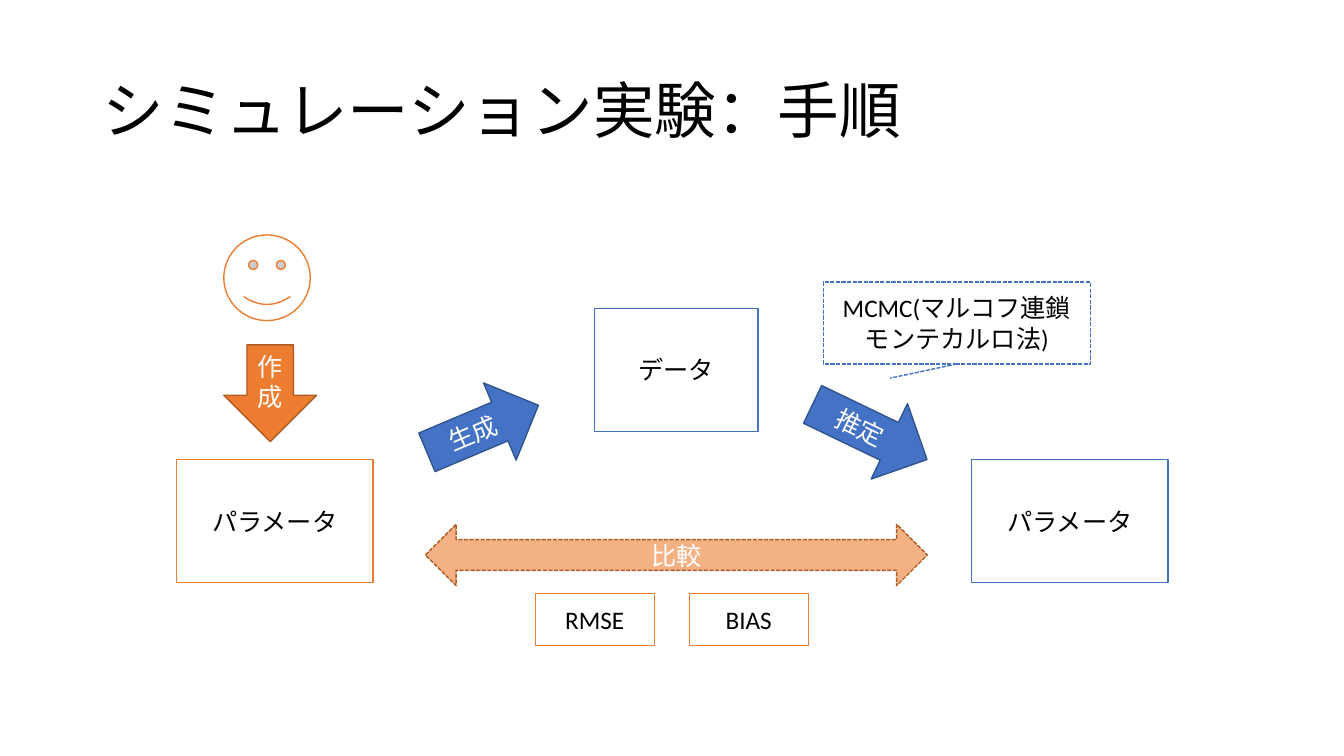
from dataclasses import dataclass

from lxml import etree
from pptx import Presentation
from pptx.dml.color import RGBColor
from pptx.enum.dml import MSO_LINE
from pptx.enum.shapes import MSO_CONNECTOR, MSO_SHAPE
from pptx.enum.text import MSO_ANCHOR, PP_ALIGN
from pptx.oxml.ns import qn
from pptx.util import Cm, Pt

RECTANGLE = MSO_SHAPE.RECTANGLE
RIGHT_ARROW = MSO_SHAPE.RIGHT_ARROW
DOWN_ARROW = MSO_SHAPE.DOWN_ARROW
DOUBLE_ARROW = MSO_SHAPE.LEFT_RIGHT_ARROW
SMILEY = MSO_SHAPE.SMILEY_FACE
STRAIGHT = MSO_CONNECTOR.STRAIGHT
DASHED = MSO_LINE.SQUARE_DOT
MIDDLE = MSO_ANCHOR.MIDDLE
LEFT, CENTER = PP_ALIGN.LEFT, PP_ALIGN.CENTER
BOTTOM_SITE = 2


@dataclass(frozen=True)
class Theme:
    font: str = "Calibri"
    title_size: int = 44
    body_size: int = 18
    line_width: int = 1
    black: str = "000000"
    white: str = "FFFFFF"
    blue: str = "4472C4"
    dark_blue: str = "325491"
    orange: str = "ED7D31"
    dark_orange: str = "AF5C24"
    pale_orange: str = "F4B183"


THEME = Theme()

# Positions and sizes in centimetres: left, top, width, height
TITLE = ("シミュレーション実験：手順", (2.34, 1.02, 29.21, 3.68))
BOX_HEIGHT = 3.1
PARAMETER_TOP, PARAMETER_WIDTH = 11.58, 4.95
BOXES = [
    ("パラメータ", (4.45, PARAMETER_TOP, PARAMETER_WIDTH, BOX_HEIGHT), THEME.orange),
    ("データ", (14.99, 7.77, 4.11, BOX_HEIGHT), THEME.blue),
    ("パラメータ", (24.49, PARAMETER_TOP, PARAMETER_WIDTH, BOX_HEIGHT), THEME.blue),
]
STEP_ARROWS = [
    ("生成", (10.64, 9.75, 3.05, 2.11), 337.1),
    ("推定", (20.32, 9.83, 3.2, 2.11), 25.7),
]
COMPARISON = ("比較", (10.72, 13.21, 12.65, 1.55))
PERSON = (5.64, 5.92, 2.18, 2.16)
CREATION = ("作成", (5.64, 8.69, 2.34, 2.44))
INDICATORS = ["RMSE", "BIAS"]
INDICATOR_FIRST = (13.49, 14.96, 3.0, 1.3)
INDICATOR_STEP = 3.88
METHOD = ("MCMC(マルコフ連鎖モンテカルロ法)", (20.75, 7.11, 6.73, 2.06))
METHOD_TARGET = (22.43, 9.53)


def write_text(shape, text, *, size=THEME.body_size, color=THEME.black,
               align=CENTER, spacing=None):
    frame = shape.text_frame
    frame.word_wrap = True
    frame.vertical_anchor = MIDDLE
    paragraph = frame.paragraphs[0]
    paragraph.alignment = align
    paragraph.line_spacing = spacing
    run = paragraph.add_run()
    run.text = text
    run.font.name = THEME.font
    run.font.size = Pt(size)
    run.font.color.rgb = RGBColor.from_string(color)


def style_line(line, color, dash=None):
    line.color.rgb = RGBColor.from_string(color)
    line.width = Pt(THEME.line_width)
    if dash is not None:
        line.dash_style = dash


def add_figure(slide, kind, place, line, *, fill=THEME.white, text=None,
               color=THEME.black, rotation=0, dash=None):
    shape = slide.shapes.add_shape(kind, *map(Cm, place))
    shape.shadow.inherit = False
    shape.rotation = rotation
    shape.fill.solid()
    shape.fill.fore_color.rgb = RGBColor.from_string(fill)
    style_line(shape.line, line, dash)
    if text:
        write_text(shape, text, color=color)
    return shape


def add_pointer(slide, box, target):
    """Draw a dashed line from the middle of the box's bottom to the target."""
    pointer = slide.shapes.add_connector(
        STRAIGHT, box.left + box.width // 2, box.top + box.height, *map(Cm, target))
    pointer.begin_connect(box, BOTTOM_SITE)
    style_line(pointer.line, THEME.blue, DASHED)
    etree.SubElement(pointer.element.spPr, qn("a:effectLst"))


def main():
    presentation = Presentation()
    presentation.slide_width, presentation.slide_height = Cm(33.87), Cm(19.05)
    slide = presentation.slides.add_slide(presentation.slide_layouts[6])

    title, place = TITLE
    write_text(slide.shapes.add_textbox(*map(Cm, place)), title,
               size=THEME.title_size, align=LEFT, spacing=0.9)

    for text, place, line in BOXES:
        add_figure(slide, RECTANGLE, place, line, text=text)
    for text, place, rotation in STEP_ARROWS:
        add_figure(slide, RIGHT_ARROW, place, THEME.dark_blue, fill=THEME.blue,
                   text=text, color=THEME.white, rotation=rotation)

    text, place = COMPARISON
    add_figure(slide, DOUBLE_ARROW, place, THEME.dark_orange, fill=THEME.pale_orange,
               text=text, color=THEME.white, dash=DASHED)
    add_figure(slide, SMILEY, PERSON, THEME.orange)
    text, place = CREATION
    add_figure(slide, DOWN_ARROW, place, THEME.dark_orange, fill=THEME.orange,
               text=text, color=THEME.white)

    left, top, width, height = INDICATOR_FIRST
    for index, text in enumerate(INDICATORS):
        place = (left + index * INDICATOR_STEP, top, width, height)
        add_figure(slide, RECTANGLE, place, THEME.orange, text=text)

    text, place = METHOD
    method = add_figure(slide, RECTANGLE, place, THEME.blue, text=text, dash=DASHED)
    add_pointer(slide, method, METHOD_TARGET)

    presentation.save("out.pptx")


if __name__ == "__main__":
    main()
